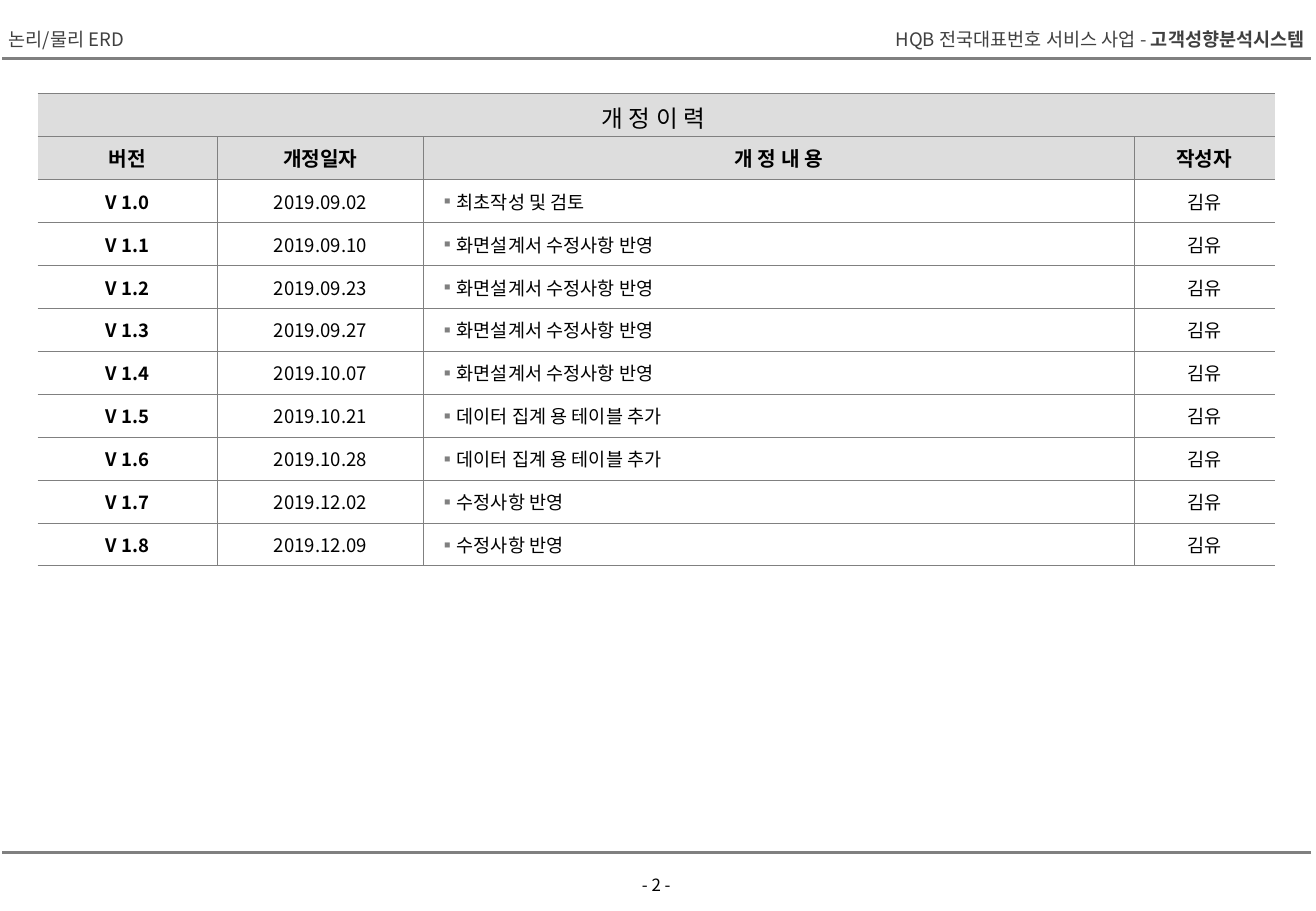
"""Build the revision history slide of an ERD document."""
from typing import NamedTuple

from lxml import etree
from pptx import Presentation
from pptx.dml.color import RGBColor
from pptx.enum.shapes import MSO_CONNECTOR
from pptx.enum.text import MSO_ANCHOR, PP_ALIGN
from pptx.oxml.ns import qn
from pptx.util import Inches, Pt

STRAIGHT = MSO_CONNECTOR.STRAIGHT
TOP, MIDDLE, BOTTOM = MSO_ANCHOR.TOP, MSO_ANCHOR.MIDDLE, MSO_ANCHOR.BOTTOM
LEFT, CENTER, RIGHT, JUSTIFY = PP_ALIGN.LEFT, PP_ALIGN.CENTER, PP_ALIGN.RIGHT, PP_ALIGN.JUSTIFY
FONT = "Noto Sans CJK KR"
GRAY, DARK, BLACK = "808080", "404040", "000000"
HEADER_FILL, BODY_FILL = "DDDDDD", "FFFFFF"
THIN, THICK = 0.45, 0.75
TABLE_HEIGHT = 3.89
COLUMN_WIDTHS = (1.48, 1.7, 5.85, 1.16)


class Phrase(NamedTuple):
    text: str
    size: float
    color: str = BLACK
    bold: bool = False


class Caption(NamedTuple):
    left: float
    top: float
    width: float
    height: float
    align: PP_ALIGN
    anchor: MSO_ANCHOR
    phrases: tuple[Phrase, ...]


class Revision(NamedTuple):
    version: str
    date: str
    change: str
    author: str = "김유"


CAPTIONS = (
    Caption(0.03, 0.19, 1.63, 0.26, JUSTIFY, MIDDLE, (Phrase("논리/물리 ERD", 11, DARK),)),
    Caption(6.92, 0.19, 3.87, 0.26, RIGHT, MIDDLE, (
        Phrase("HQB 전국대표번호 서비스 사업 - ", 11, DARK),
        Phrase("고객성향분석시스템", 11, DARK, True))),
    Caption(4.66, 7.11, 1.49, 0.3, CENTER, BOTTOM, (Phrase("- 2 -", 10),)),
)
TITLE = "개 정 이 력 "
HEADINGS = ("버전", "개정일자", "개 정 내 용", "작성자")
REVISIONS = (
    Revision("V 1.0", "2019.09.02", "최초작성 및 검토"),
    Revision("V 1.1", "2019.09.10", "화면설계서 수정사항 반영"),
    Revision("V 1.2", "2019.09.23", "화면설계서 수정사항 반영"),
    Revision("V 1.3", "2019.09.27", "화면설계서 수정사항 반영"),
    Revision("V 1.4", "2019.10.07", "화면설계서 수정사항 반영"),
    Revision("V 1.5", "2019.10.21", "데이터 집계 용 테이블 추가"),
    Revision("V 1.6", "2019.10.28", "데이터 집계 용 테이블 추가"),
    Revision("V 1.7", "2019.12.02", "수정사항 반영"),
    Revision("V 1.8", "2019.12.09", "수정사항 반영"),
)


def rgb(color: str) -> RGBColor:
    return RGBColor.from_string(color)


def add_phrase(paragraph, phrase: Phrase) -> None:
    run = paragraph.add_run()
    run.text = phrase.text
    run.font.size = Pt(phrase.size)
    run.font.bold = phrase.bold
    run.font.color.rgb = rgb(phrase.color)
    run.font.name = FONT
    etree.SubElement(run.font._element, qn("a:ea"), typeface=FONT)


def add_caption(slide, caption: Caption) -> None:
    box = slide.shapes.add_textbox(Inches(caption.left), Inches(caption.top),
                                   Inches(caption.width), Inches(caption.height))
    frame = box.text_frame
    frame.word_wrap = True
    frame.vertical_anchor = caption.anchor
    frame.margin_left = frame.margin_right = Inches(0.04)
    frame.margin_top = frame.margin_bottom = Inches(0.04)
    paragraph = frame.paragraphs[0]
    paragraph.alignment = caption.align
    for phrase in caption.phrases:
        add_phrase(paragraph, phrase)


def add_rule(slide, top: float) -> None:
    rule = slide.shapes.add_connector(STRAIGHT, Inches(0.02), Inches(top), Inches(10.8), Inches(top))
    rule.line.color.rgb = rgb(GRAY)
    rule.line.width = Pt(1.5)
    etree.SubElement(rule._element.spPr, qn("a:effectLst"))


def set_borders(cell, widths: dict[str, float]) -> None:
    properties = cell._tc.get_or_add_tcPr()
    for side in "LRTB":
        width = widths[side]
        border = etree.SubElement(properties, qn(f"a:ln{side}"), w=str(int(Pt(width))))
        if width:
            fill = etree.SubElement(border, qn("a:solidFill"))
            etree.SubElement(fill, qn("a:srgbClr"), val=GRAY)
        else:
            etree.SubElement(border, qn("a:noFill"))


def add_bullet(paragraph) -> None:
    properties = paragraph._p.get_or_add_pPr()
    properties.set("marL", str(Inches(0.19)))
    properties.set("indent", str(Inches(-0.09)))
    color = etree.SubElement(properties, qn("a:buClr"))
    etree.SubElement(color, qn("a:srgbClr"), val=GRAY)
    etree.SubElement(properties, qn("a:buFont"), typeface=FONT)
    etree.SubElement(properties, qn("a:buChar"), char="▪")


def fill_cell(cell, phrase: Phrase, fill: str, bulleted: bool) -> None:
    cell.fill.solid()
    cell.fill.fore_color.rgb = rgb(fill)
    cell.vertical_anchor = MIDDLE
    cell.margin_left = cell.margin_right = Inches(0.02)
    cell.margin_top = cell.margin_bottom = Inches(0.05)
    paragraph = cell.text_frame.paragraphs[0]
    paragraph.alignment = LEFT if bulleted else CENTER
    if bulleted:
        add_bullet(paragraph)
    if phrase.text:
        add_phrase(paragraph, phrase)


def add_history(slide) -> None:
    rows = [
        [Phrase(TITLE, 14)] + [Phrase("", 14)] * (len(HEADINGS) - 1),
        [Phrase(heading, 12, bold=True) for heading in HEADINGS],
        *([Phrase(value, 11, bold=column == 0) for column, value in enumerate(revision)]
          for revision in REVISIONS),
    ]
    last_row, last_column = len(rows) - 1, len(HEADINGS) - 1
    table = slide.shapes.add_table(len(rows), len(HEADINGS), Inches(0.31), Inches(0.77),
                                   Inches(sum(COLUMN_WIDTHS)), Inches(TABLE_HEIGHT)).table
    table.first_row = table.horz_banding = False
    for column, width in zip(table.columns, COLUMN_WIDTHS):
        column.width = Inches(width)
    for r, phrases in enumerate(rows):
        table.rows[r].height = Inches(TABLE_HEIGHT / len(rows))
        for c, phrase in enumerate(phrases):
            cell = table.cell(r, c)
            set_borders(cell, {
                "L": THIN if r > 0 and c > 0 else 0,
                "R": THIN if r > 0 and c < last_column else 0,
                "T": THICK if r == 0 else THIN,
                "B": THICK if r == last_row else THIN,
            })
            fill_cell(cell, phrase, HEADER_FILL if r < 2 else BODY_FILL, r >= 2 and c == 2)
    table.cell(0, 0).merge(table.cell(0, last_column))


def main() -> None:
    deck = Presentation()
    deck.slide_width, deck.slide_height = Inches(10.84), Inches(7.5)
    slide = deck.slides.add_slide(deck.slide_layouts[6])
    for top in (7.02, 0.48):
        add_rule(slide, top)
    for caption in CAPTIONS:
        add_caption(slide, caption)
    add_history(slide)
    deck.save("out.pptx")


if __name__ == "__main__":
    main()
